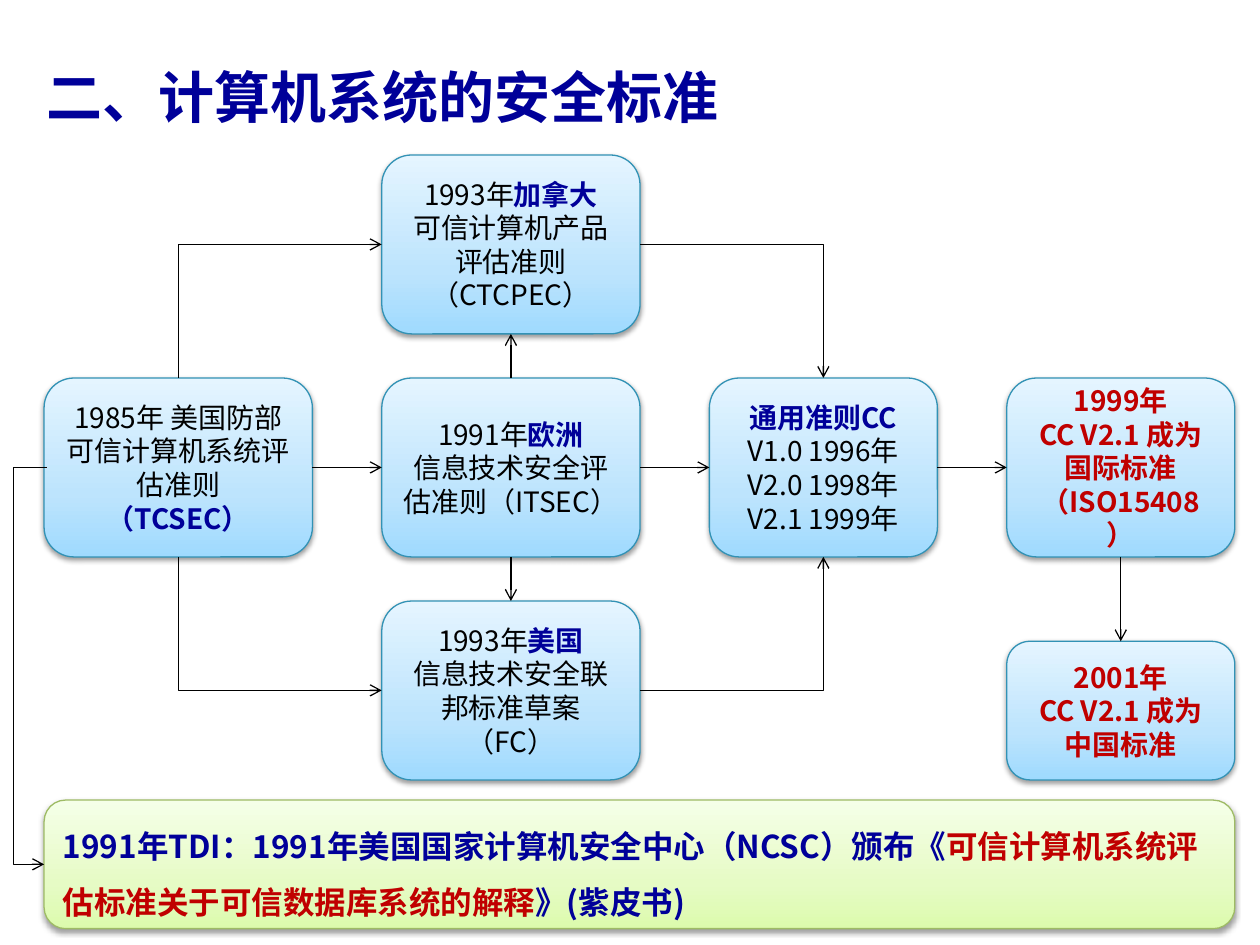
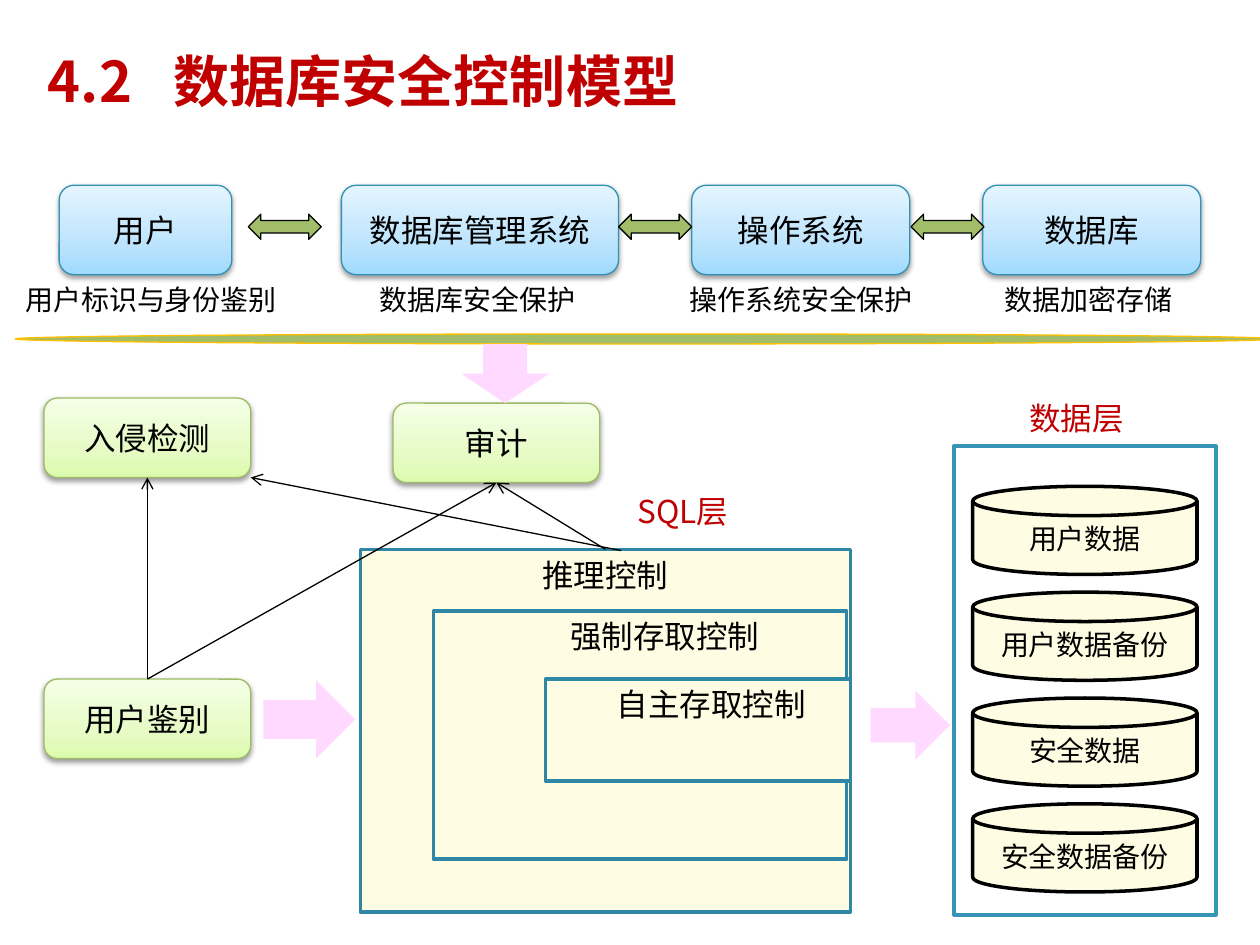
from copy import deepcopy

from lxml import etree
from pptx import Presentation
from pptx import util as u
from pptx.dml.color import RGBColor
from pptx.enum import shapes, text
from pptx.oxml.ns import qn

FONT = "Noto Sans CJK SC"
COLS, ROWS = 100, 75
HEX = {
    "black": "000000", "navy": "000099", "red": "C00000",
    "blue_edge": "3292B5", "green_edge": "9EBB65", "teal": "3086A5",
    "frame": "3694B6", "cream": "FEFDE3", "pink": "FFD9FF",
    "olive": "A1BD69", "gold": "FFC000",
}
GRADIENTS = {
    "blue": ("9FDAFE", "BDE4FD", "E5F5FF"),
    "green": ("DCFBAD", "E6FBC5", "F5FFE8"),
}
STOPS = (0, 0.35, 1)
TOP, LEFT, BOTTOM, RIGHT = range(4)  # connection sites of a rectangle
SHAPE = shapes.MSO_SHAPE
ANCHOR, ALIGN = text.MSO_ANCHOR, text.PP_ALIGN


def navy(words):
    return words, "navy", True


def red(words):
    return words, "red", True


def rgb(name):
    return RGBColor.from_string(HEX.get(name, name))


def sub(parent, tag, **attrs):
    return etree.SubElement(parent, qn(tag), {k: str(v) for k, v in attrs.items()})


class Deck:
    """Holds the style and the current slide; lengths are grid columns and rows."""

    def __init__(self):
        self.prs = Presentation()
        self.prs.slide_width, self.prs.slide_height = u.Inches(10), u.Inches(7.5)
        self.s = None

    def x(self, cols):
        return round(self.prs.slide_width * cols / COLS)

    def y(self, rows):
        return round(self.prs.slide_height * rows / ROWS)

    def place(self, at):
        left, top, width, height = at
        return self.x(left), self.y(top), self.x(width), self.y(height)

    def slide(self, title, at, color, anchor):
        self.s = self.prs.slides.add_slide(self.prs.slide_layouts[5])
        sp = self.s.shapes.title
        sp.left, sp.top, sp.width, sp.height = self.place(at)
        self.fill_text(sp, [[(title, color, True)]], 32, anchor, ALIGN.LEFT)

    def fill_text(self, sp, paras, size, anchor=ANCHOR.MIDDLE, align=ALIGN.CENTER,
                  spacing=None):
        """Fill a shape; a run is a plain string or (words, colour, bold)."""
        tf = sp.text_frame
        tf.word_wrap, tf.auto_size = True, text.MSO_AUTO_SIZE.NONE
        tf.vertical_anchor = anchor
        for i, runs in enumerate(paras):
            p = tf.add_paragraph() if i else tf.paragraphs[0]
            p.alignment, p.line_spacing = align, spacing
            for run in runs:
                words, color, bold = (run, "black", False) if isinstance(run, str) else run
                r = p.add_run()
                r.text = words
                r.font.size, r.font.bold, r.font.name = u.Pt(size), bold, FONT
                r.font.color.rgb = rgb(color)
                sub(r.font._element, "a:ea", typeface=FONT)

    def shape(self, kind, at, fill=None, line=None, width=0.75):
        sp = self.s.shapes.add_shape(kind, *self.place(at))
        sp.shadow.inherit = False
        if fill:
            sp.fill.solid()
            sp.fill.fore_color.rgb = rgb(fill)
        else:
            sp.fill.background()
        if line:
            sp.line.color.rgb, sp.line.width = rgb(line), u.Pt(width)
        else:
            sp.line.fill.background()
        return sp

    def box(self, at, paras, tone="blue", size=16, **layout):
        """Rounded box with a three-stop gradient and a soft shadow below."""
        sp = self.shape(SHAPE.ROUNDED_RECTANGLE, at, line=tone + "_edge")
        sp.fill.gradient()
        sp.fill.gradient_angle = 90
        first = sp.fill.gradient_stops[0]._gs
        first.addnext(deepcopy(first))
        for stop, pos, color in zip(sp.fill.gradient_stops, STOPS, GRADIENTS[tone]):
            stop.position, stop.color.rgb = pos, rgb(color)
        effects = sp._element.spPr.find(qn("a:effectLst"))
        shadow = sub(effects, "a:outerShdw", blurRad=u.Pt(3.1), dist=u.Pt(1.6),
                     dir=5400000, rotWithShape=0)
        sub(sub(shadow, "a:srgbClr", val=HEX["black"]), "a:alpha", val=38000)
        self.fill_text(sp, paras, size, **layout)
        return sp

    def panel(self, at, words, indent=0):
        sp = self.shape(SHAPE.RECTANGLE, at, "cream", "teal", 2)
        sp.text_frame.margin_left = self.x(1 + indent)
        self.fill_text(sp, [[words]], 18, ANCHOR.TOP)
        return sp

    def disk(self, at, words):
        sp = self.shape(SHAPE.FLOWCHART_MAGNETIC_DISK, at, "cream", "black", 2)
        self.fill_text(sp, [[words]], 16, ANCHOR.TOP)

    def label(self, at, run, size):
        self.fill_text(self.s.shapes.add_textbox(*self.place(at)), [[run]], size)

    def line(self, start, end, kind=shapes.MSO_CONNECTOR.STRAIGHT, arrow="a:tailEnd"):
        c = self.s.shapes.add_connector(kind, self.x(start[0]), self.y(start[1]),
                                        self.x(end[0]), self.y(end[1]))
        c.line.color.rgb, c.line.width = rgb("black"), u.Pt(0.75)
        sub(c.line._get_or_add_ln(), arrow, type="arrow")
        sub(c._element.spPr, "a:effectLst")
        return c

    def link(self, a, a_site, b, b_site, **style):
        c = self.line((0, 0), (1, 1), **style)
        c.begin_connect(a, a_site)
        c.end_connect(b, b_site)
        return c

    def corner(self, a, a_site, b, b_site, arrow="a:tailEnd"):
        """One-bend link that leaves a sideways and meets b from above or below."""
        c = self.link(a, a_site, b, b_site, kind=shapes.MSO_CONNECTOR.ELBOW, arrow=arrow)
        c._element.spPr.find(qn("a:prstGeom")).set("prst", "bentConnector2")

    def detour(self, start, end, via):
        """Three-part link whose upright part stands at column via."""
        c = self.line(start, end, shapes.MSO_CONNECTOR.ELBOW)
        share = (via - start[0]) / (end[0] - start[0])
        guides = c._element.spPr.find(qn("a:prstGeom")).get_or_add_avLst()
        sub(guides, "a:gd", name="adj1", fmla=f"val {round(share * 100000)}")


def standards(d):
    d.slide("二、计算机系统的安全标准", (2.7, 2.1, 92.1, 8.7), "navy", ANCHOR.BOTTOM)
    height, mid, step = 14.2, 30, 17.7
    tcsec = d.box((3.5, mid, 21.3, height), [
        ["1985年 美国防部"], ["可信计算机系统评估准则", navy("（TCSEC）")]])
    regions = [
        ("1993年", "加拿大", "可信计算机产品评估准则（CTCPEC）"),
        ("1991年", "欧洲", "信息技术安全评估准则（ITSEC）"),
        ("1993年", "美国", "信息技术安全联邦标准草案（FC）"),
    ]
    ctcpec, itsec, fc = [
        d.box((30.3, mid + (i - 1) * step, 20.5, height), [[year, navy(region)], [name]])
        for i, (year, region, name) in enumerate(regions)]
    cc = d.box((56.3, mid, 18.1, height), [
        [navy("通用准则CC")], ["V1.0 1996年"], ["V2.0 1998年"], ["V2.1 1999年"]])
    iso = d.box((79.9, mid, 18.1, height), [
        [red("1999年")], [red("CC V2.1 成为国际标准（ISO15408）")]])
    china = d.box((79.9, 50.9, 18.1, 11), [[red("2001年")], [red("CC V2.1 成为中国标准")]])
    d.box((3.5, 63.5, 94.5, 10.2), [[
        navy("1991年TDI：1991年美国国家计算机安全中心（NCSC）颁布《"),
        red("可信计算机系统评估标准关于可信数据库系统的解释"), navy("》(紫皮书)")]],
        tone="green", size=18, align=ALIGN.LEFT, spacing=1.5)

    for a, b in ((tcsec, itsec), (itsec, cc), (cc, iso)):
        d.link(a, RIGHT, b, LEFT)
    d.link(itsec, TOP, ctcpec, BOTTOM)
    d.link(itsec, BOTTOM, fc, TOP)
    d.link(iso, BOTTOM, china, TOP)
    for branch, site in ((ctcpec, TOP), (fc, BOTTOM)):
        d.corner(branch, LEFT, tcsec, site, arrow="a:headEnd")
        d.corner(branch, RIGHT, cc, site)
    d.detour((3.7, 37.1), (3.5, 68.6), via=1.1)


def control_model(d):
    d.slide("4.2\t数据库安全控制模型", (2.8, 2.8, 94.5, 7.1), "red", ANCHOR.MIDDLE)

    # Top chain: name, left, width, caption, caption centre
    chain = [
        ("用户", 4.7, 13.7, "用户标识与身份鉴别", 12),
        ("数据库管理系统", 27.1, 22, "数据库安全保护", 37.9),
        ("操作系统", 54.9, 17.3, "操作系统安全保护", 63.6),
        ("数据库", 78, 17.3, "数据加密存储", 86.4),
    ]
    for name, left, width, caption, centre in chain:
        d.box((left, 14.7, width, 7.1), [[name]], size=18)
        d.label((centre - 12, 20.2, 24, 7.1), caption, 16)
    for left in (19.7, 49.1, 72.3):
        d.shape(SHAPE.LEFT_RIGHT_ARROW, (left, 17, 5.8, 2), "olive", "black")
    d.shape(SHAPE.OVAL, (1.2, 26.5, 100, 0.8), "olive", "gold")

    # SQL layer: nested controls
    inference = d.panel((28.6, 43.6, 38.9, 28.8), "推理控制")
    d.panel((34.4, 48.5, 32.8, 19.7), "强制存取控制", indent=3.9)
    d.panel((43.3, 53.9, 24.2, 8.1), "自主存取控制", indent=2.1)
    d.label((46, 37.4, 16.4, 6.3), ("SQL层", "red", False), 18)

    # Data layer
    d.shape(SHAPE.RECTANGLE, (75.7, 35.4, 20.8, 37.2), line="frame", width=2)
    d.label((76.8, 29.6, 17.3, 7.1), ("数据层", "red", False), 18)
    for i, store in enumerate(("用户数据", "用户数据备份", "安全数据", "安全数据备份")):
        d.disk((77.2, 38.6 + 8.4 * i, 17.8, 7), store)

    login, intrusion, audit = [
        d.box((left, top, 16.4, 6.3), [[name]], tone="green", size=18)
        for name, left, top in (("用户鉴别", 3.5, 53.9), ("入侵检测", 3.5, 31.6),
                                ("审计", 31.2, 32))]
    for kind, at in ((SHAPE.RIGHT_ARROW, (20.9, 54, 7.3, 6.2)),
                     (SHAPE.RIGHT_ARROW, (69.1, 54.8, 6.3, 5.5)),
                     (SHAPE.DOWN_ARROW, (36.6, 27.3, 7, 4.7))):
        d.shape(kind, at, "pink")
    for a, b in ((login, intrusion), (login, audit), (inference, audit)):
        d.link(a, TOP, b, BOTTOM)
    d.line((49.3, 43.7), (19.9, 37.9))


def main():
    d = Deck()
    standards(d)
    control_model(d)
    d.prs.save("out.pptx")


if __name__ == "__main__":
    main()
